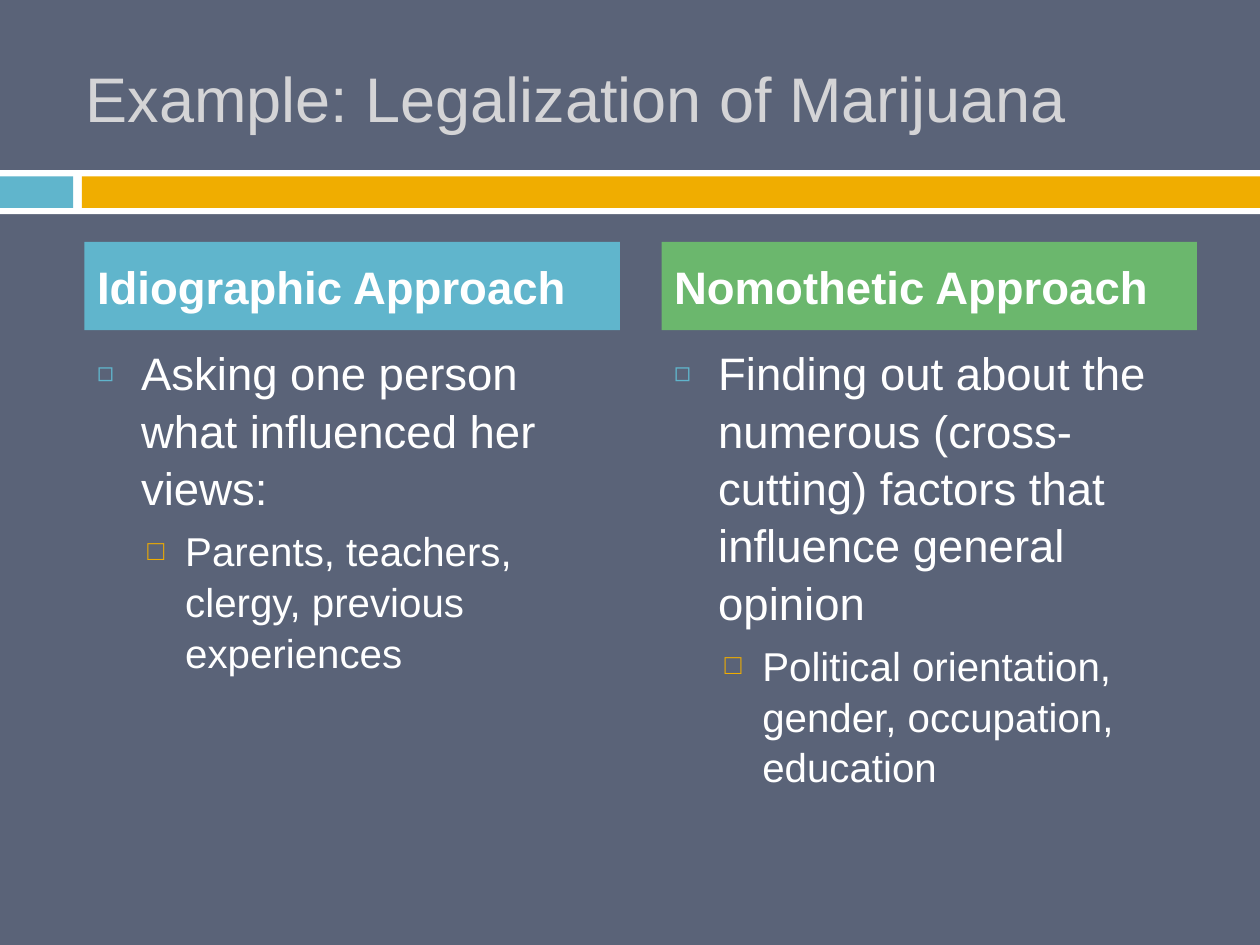
from lxml.etree import SubElement
from pptx import Presentation
from pptx.dml.color import RGBColor
from pptx.enum.shapes import MSO_SHAPE
from pptx.enum.text import MSO_ANCHOR, MSO_AUTO_SIZE, PP_ALIGN
from pptx.oxml.ns import qn
from pptx.util import Inches, Pt

SLATE = RGBColor(0x5A, 0x63, 0x78)
WHITE = RGBColor(0xFF, 0xFF, 0xFF)
SILVER = RGBColor(0xD4, 0xD4, 0xD6)
BLUE = RGBColor(0x60, 0xB5, 0xCC)
AMBER = RGBColor(0xF0, 0xAD, 0x00)
GREEN = RGBColor(0x6B, 0xB7, 0x6D)

LEVELS = [
    {"size": 26, "before": 0, "margin": 0.35, "hang": 0.35,
     "bullet": "◻", "color": BLUE, "percent": 60},
    {"size": 23, "before": 5.5, "margin": 0.7, "hang": 0.3,
     "bullet": "□", "color": AMBER, "percent": 70},
]

BANDS = [
    (0, 1.35, 10, 0.35, WHITE),
    (0, 1.4, 0.58, 0.25, BLUE),
    (0.65, 1.4, 9.35, 0.25, AMBER),
]

APPROACHES = [
    ("Idiographic Approach", BLUE,
     ["Asking one person what influenced her views:",
      "Parents, teachers, clergy, previous experiences"]),
    ("Nomothetic Approach", GREEN,
     ["Finding out about the numerous (cross-cutting) factors that influence general opinion",
      "Political orientation, gender, occupation, education"]),
]
COLUMN_LEFT, COLUMN_STEP, COLUMN_WIDTH = 0.67, 4.58, 4.25


class ComparisonSlide:
    """Holds the style and the slide being filled."""

    def __init__(self, slide, font_name="Arial"):
        self.slide = slide
        self.font_name = font_name
        slide.background.fill.solid()
        slide.background.fill.fore_color.rgb = SLATE

    def place(self, index, left, top, width, height, anchor):
        holder = self.slide.placeholders[index]
        box = {"left": left, "top": top, "width": width, "height": height}
        for name, value in box.items():
            setattr(holder, name, Inches(value))
        frame_format = {"word_wrap": True, "auto_size": MSO_AUTO_SIZE.NONE,
                        "vertical_anchor": anchor}
        for name, value in frame_format.items():
            setattr(holder.text_frame, name, value)
        return holder

    def add_text(self, paragraph, text, size, color=WHITE, bold=False):
        run = paragraph.add_run()
        run.text = text
        font_format = {"name": self.font_name, "size": Pt(size), "bold": bold}
        for name, value in font_format.items():
            setattr(run.font, name, value)
        run.font.color.rgb = color

    def band(self, left, top, width, height, color):
        band = self.slide.shapes.add_shape(
            MSO_SHAPE.RECTANGLE, Inches(left), Inches(top), Inches(width), Inches(height))
        band.shadow.inherit = False
        band.fill.solid()
        band.fill.fore_color.rgb = color
        band.line.fill.background()

    def title(self, text):
        holder = self.place(0, 0.58, 0.3, 8.92, 0.95, MSO_ANCHOR.MIDDLE)
        paragraph = holder.text_frame.paragraphs[0]
        paragraph.alignment = PP_ALIGN.LEFT
        self.add_text(paragraph, text, 36, SILVER)

    def heading(self, index, left, text, color):
        holder = self.place(index, left, 1.92, COLUMN_WIDTH, 0.7, MSO_ANCHOR.MIDDLE)
        holder.fill.solid()
        holder.fill.fore_color.rgb = color
        paragraph = holder.text_frame.paragraphs[0]
        paragraph.space_before = Pt(0)
        self.add_text(paragraph, text, 26, bold=True)

    def points(self, index, left, texts):
        holder = self.place(index, left, 2.67, COLUMN_WIDTH, 3.92, MSO_ANCHOR.TOP)
        frame = holder.text_frame
        for level, (text, style) in enumerate(zip(texts, LEVELS)):
            paragraph = frame.add_paragraph() if level else frame.paragraphs[0]
            self.bullet(paragraph, style)
            spacing = {"level": level, "line_spacing": 1.05,
                       "space_before": Pt(style["before"])}
            for name, value in spacing.items():
                setattr(paragraph, name, value)
            self.add_text(paragraph, text, style["size"])

    def bullet(self, paragraph, style):
        properties = paragraph._p.get_or_add_pPr()
        properties.set("marL", str(Inches(style["margin"])))
        properties.set("indent", str(-Inches(style["hang"])))
        color = SubElement(properties, qn("a:buClr"))
        SubElement(color, qn("a:srgbClr"), val=str(style["color"]))
        SubElement(properties, qn("a:buSzPct"), val=str(style["percent"] * 1000))
        SubElement(properties, qn("a:buChar"), char=style["bullet"])


def main():
    deck = Presentation()
    deck.slide_width, deck.slide_height = Inches(10), Inches(7.5)
    comparison = ComparisonSlide(
        deck.slides.add_slide(deck.slide_layouts.get_by_name("Comparison")))
    for band in BANDS:
        comparison.band(*band)
    comparison.title("Example: Legalization of Marijuana")
    for column, (approach, color, texts) in enumerate(APPROACHES):
        left = COLUMN_LEFT + column * COLUMN_STEP
        comparison.heading(1 + 2 * column, left, approach, color)
        comparison.points(2 + 2 * column, left, texts)
    deck.save("out.pptx")


if __name__ == "__main__":
    main()
